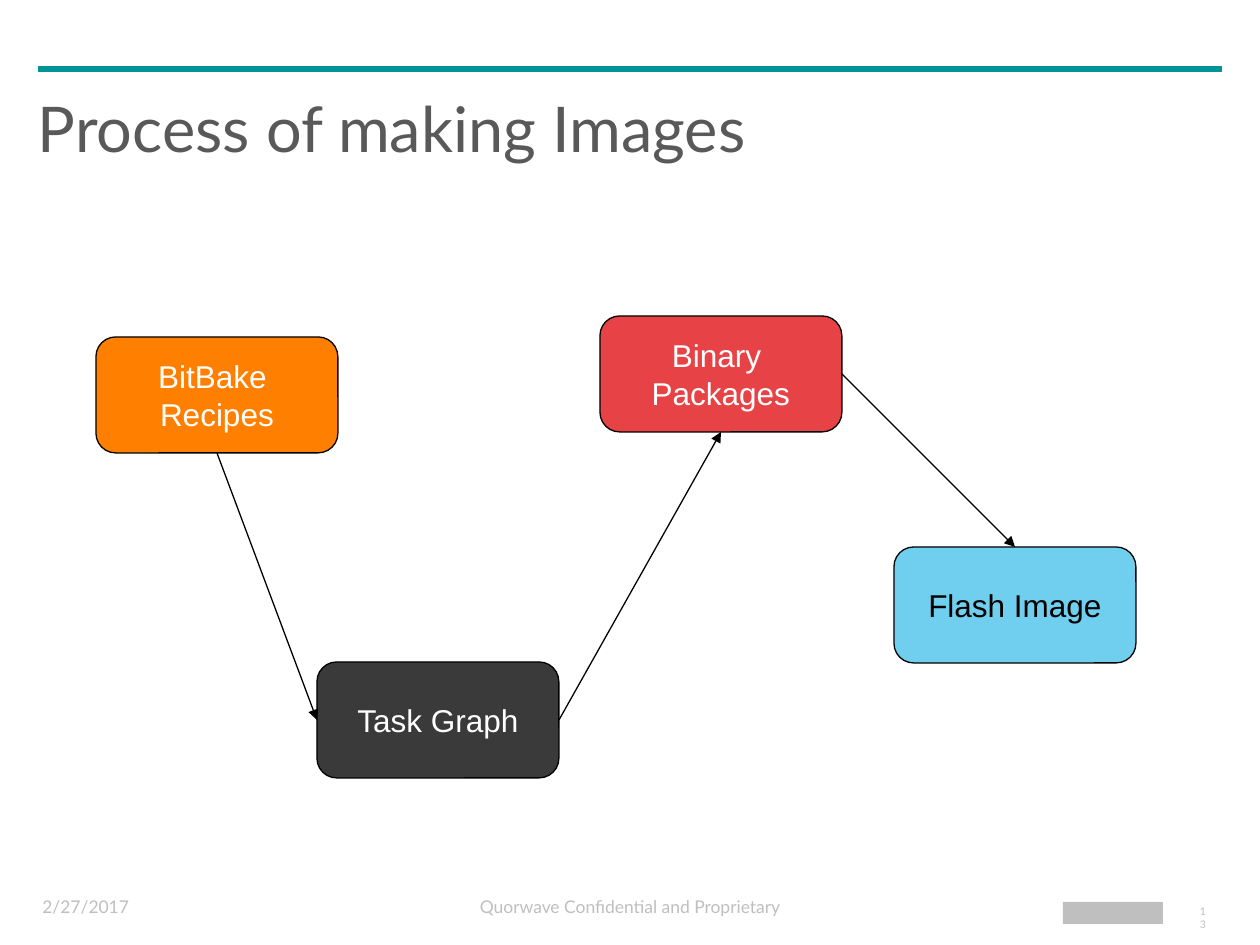
from lxml.etree import SubElement
from pptx import Presentation
from pptx.dml.color import RGBColor
from pptx.enum.shapes import MSO_CONNECTOR, MSO_SHAPE
from pptx.enum.text import MSO_ANCHOR, MSO_AUTO_SIZE, PP_ALIGN
from pptx.oxml.ns import qn
from pptx.util import Pt

SCALE = 914400 / 126
HUES = {
    "bar": "009499", "title": "595959", "pale": "BFBFBF",
    "orange": "FF8000", "red": "E74346", "dark": "3A3A3A", "sky": "70CFEE",
    "white": "FFFFFF", "black": "000000",
}
TOP, LEFT, BOTTOM, RIGHT = range(4)
SIZE = 242, 116
BOXES = {
    "recipes": (96, 337, "orange", "white", ["BitBake ", "Recipes"]),
    "packages": (600, 316, "red", "white", ["Binary ", "Packages"]),
    "graph": (317, 662, "dark", "white", ["Task Graph"]),
    "image": (894, 547, "sky", "black", ["Flash Image"]),
}
LINKS = [
    ("recipes", BOTTOM, "graph", LEFT),
    ("graph", RIGHT, "packages", BOTTOM),
    ("packages", RIGHT, "image", TOP),
]
NOTES = [
    ((30, 892, 268, 32), "2/27/2017", 10, {"alignment": PP_ALIGN.LEFT}, {}),
    ((444, 892, 372, 32), "Quorwave Confidential and Proprietary", 10,
     {"alignment": PP_ALIGN.CENTER}, {}),
    ((1191, 900, 30, 23), "13", 6, {"line_spacing": 1.0, "space_after": Pt(0)},
     {"margin_left": 9, "margin_right": 9, "margin_top": 5, "margin_bottom": 5}),
]


def px(*nums):
    """Turn pixel lengths into a list of EMU."""
    return [round(n * SCALE) for n in nums]


def hue(name):
    """Look up a colour by name."""
    return RGBColor.from_string(HUES[name])


def put(item, vals):
    """Set attributes from a dict."""
    for key, val in vals.items():
        setattr(item, key, val)


def write(frame, lines, size, font, tint, para, body):
    """Fill a text frame with formatted paragraphs."""
    put(frame, {"auto_size": MSO_AUTO_SIZE.NONE, "word_wrap": True} | body)
    for i, line in enumerate(lines):
        part = frame.add_paragraph() if i else frame.paragraphs[0]
        put(part, para)
        run = part.add_run()
        run.text = line
        put(run.font, {"size": Pt(size), "name": font})
        run.font.color.rgb = hue(tint)


def insets(body):
    """Turn pixel margins into EMU."""
    return {key: px(val)[0] for key, val in body.items()}


def add_title(slide, text):
    """Place and format the title."""
    title = slide.shapes.title
    put(title, dict(zip(("left", "top", "width", "height"), px(29, 102, 1182, 67))))
    body = insets({"margin_left": 9, "margin_right": 9, "margin_top": 5, "margin_bottom": 5})
    write(title.text_frame, [text], 36, "Lato", "title",
          {"alignment": PP_ALIGN.LEFT, "line_spacing": 0.75},
          body | {"vertical_anchor": MSO_ANCHOR.MIDDLE})


def add_note(slide, area, text, size, para, body):
    """Add one pale footer text."""
    box = slide.shapes.add_textbox(*px(*area))
    write(box.text_frame, [text], size, "Lato", "pale",
          {"line_spacing": 0.9, "space_after": Pt(3)} | para, insets(body))


def add_block(slide, kind, area, fill):
    """Add a flat filled shape without outline."""
    block = slide.shapes.add_shape(kind, *px(*area))
    block.shadow.inherit = False
    block.fill.solid()
    block.fill.fore_color.rgb = hue(fill)
    block.line.fill.background()
    return block


def add_step(slide, left, top, fill, tint, lines):
    """Add one outlined step of the process."""
    step = add_block(slide, MSO_SHAPE.ROUNDED_RECTANGLE, (left, top, *SIZE), fill)
    step.adjustments[0] = 0.17
    step.line.color.rgb = hue("black")
    step.line.width = Pt(0.75)
    write(step.text_frame, lines, 18, "Arial", tint, {"alignment": PP_ALIGN.CENTER},
          {"word_wrap": False, "vertical_anchor": MSO_ANCHOR.MIDDLE})
    return step


def add_line(slide, ends, tint, width):
    """Add a straight line without shadow."""
    line = slide.shapes.add_connector(MSO_CONNECTOR.STRAIGHT, *px(*ends))
    line.line.color.rgb = hue(tint)
    line.line.width = Pt(width)
    SubElement(line._element.spPr, qn("a:effectLst"))
    return line


def add_link(slide, start, out, end, into):
    """Join two steps with an arrow."""
    link = add_line(slide, (0, 0, 0, 0), "black", 0.75)
    link.begin_connect(start, out)
    link.end_connect(end, into)
    SubElement(link.line._get_or_add_ln(), qn("a:tailEnd"), type="triangle")


def main():
    """Build and save the slide."""
    deck = Presentation()
    put(deck, dict(zip(("slide_width", "slide_height"), px(1260, 945))))
    slide = deck.slides.add_slide(deck.slide_layouts[5])
    add_line(slide, (38, 69, 1222, 69), "bar", 3.75)
    add_block(slide, MSO_SHAPE.RECTANGLE, (1063, 902, 100, 22), "pale")
    for note in NOTES:
        add_note(slide, *note)
    add_title(slide, "Process of making Images")
    steps = {name: add_step(slide, *box) for name, box in BOXES.items()}
    for start, out, end, into in LINKS:
        add_link(slide, steps[start], out, steps[end], into)
    deck.save("out.pptx")


if __name__ == "__main__":
    main()
